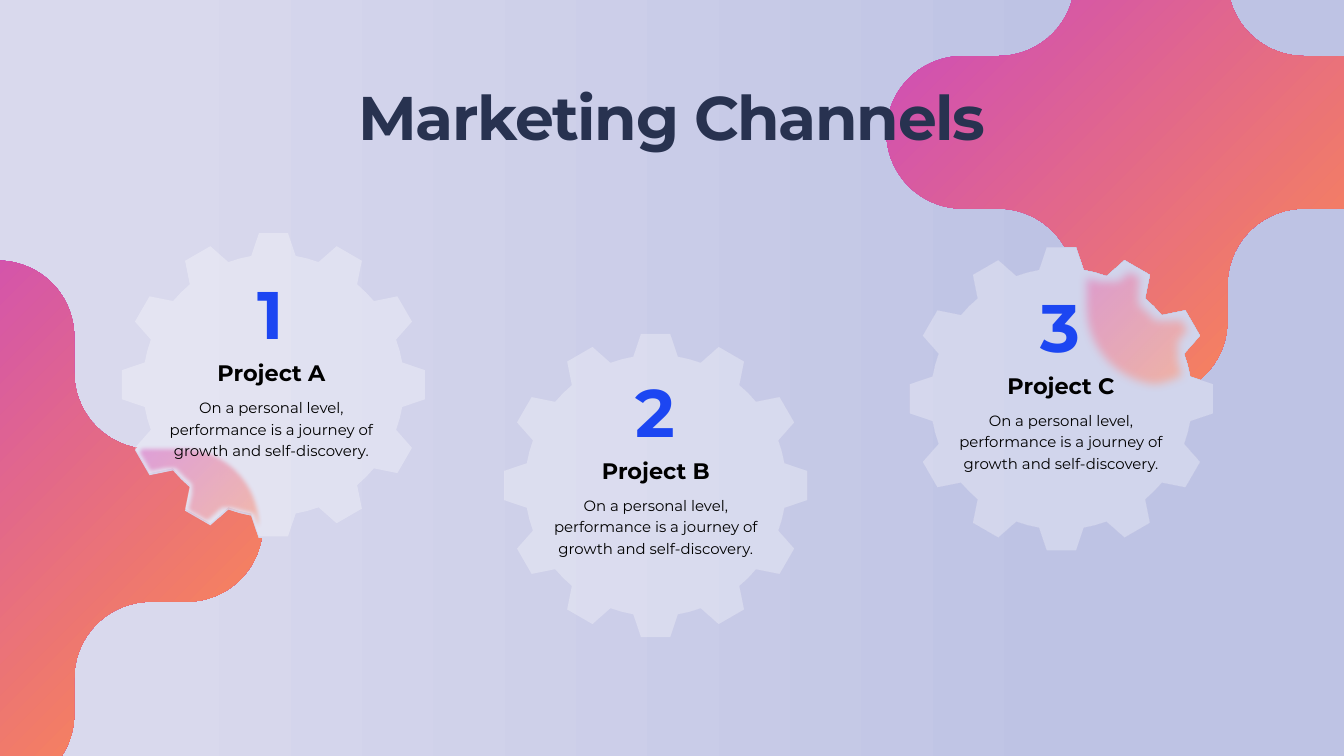
from math import cos, radians, sin

from lxml.etree import SubElement
from pptx import Presentation
from pptx.dml.color import RGBColor
from pptx.enum.text import MSO_AUTO_SIZE as AutoSize, PP_ALIGN as Align
from pptx.oxml.ns import qn
from pptx.util import Pt

FONT = "Montserrat"
NAVY = RGBColor(0x28, 0x32, 0x50)
BLACK = RGBColor(0x00, 0x00, 0x00)
WHITE = RGBColor(0xFF, 0xFF, 0xFF)
BACKDROP_STOPS = [(0.11, RGBColor(0xD9, 0xD9, 0xED)), (0.80, RGBColor(0xBE, 0xC3, 0xE4))]
SUNSET_STOPS = [(0.17, RGBColor(0xF9, 0x86, 0x57)), (1.0, RGBColor(0xC1, 0x3C, 0xD5))]
NUMBER_STOPS = [(0.11, RGBColor(0x1C, 0x46, 0xF2)), (0.80, RGBColor(0x25, 0xCE, 0x97))]

DESCRIPTION = "On a personal level, performance is a journey of growth and self-discovery."
BLOB_CENTERS = [(1233.4, 141.8), (-2.2, 563)]

# Glow outlines relative to the gear center: two numbers are a corner, six a curve.
LOWER_LEFT_GLOW = [
    (-143.3, 60.8), (-140.4, 61.6), (-137.5, 62.3, -134.6, 62.3, -131.8, 62.3),
    (-92.9, 62.3), (-48.2, 62.3, -11.5, 98.3, -11.5, 143.6),
    (-11.5, 149.4, -12.2, 155.2, -13, 160.2), (-14.4, 164.5), (-18, 164.5),
    (-25.9, 140), (-50.4, 133.6), (-69.8, 150.8), (-97.2, 135), (-91.4, 109.1),
    (-100.8, 100.4), (-109.4, 91.8), (-134.6, 96.8), (-150.5, 69.5),
]
UPPER_RIGHT_GLOW = [
    (7.6, -166.7), (19.1, -166.7), (27, -142.2), (51.5, -135.7), (70.9, -153),
    (98.3, -137.2), (92.5, -111.2), (101.9, -103.3), (110.5, -94), (135.7, -99),
    (151.6, -71.6), (134.3, -52.2), (140.8, -27.7), (150.8, -24.8), (145.1, -20.5),
    (132.1, -11.2, 116.3, -6.1, 99, -6.1), (54.4, -6.1, 17.6, -42.8, 17.6, -88.2),
    (17.6, -127.1), (17.6, -140.8, 14, -154.4, 7.6, -166),
]

# Number, heading, gear center, text corner, lift of the glass, glow (outline, opacity, blur)
PROJECTS = [
    ("1", "Project A", (293, 414.4), (170.6, 288.7), 2.2, (LOWER_LEFT_GLOW, 70, 5)),
    ("2", "Project B", (702.4, 520.2), (582.5, 393.1), 0, None),
    ("3", "Project C", (1137.2, 427.3), (1016.6, 302.4), 0, (UPPER_RIGHT_GLOW, 75, 10)),
]


def polar(radius, degrees, center=(0, 0)):
    angle = radians(degrees)
    return center[0] + radius * cos(angle), center[1] + radius * sin(angle)


def rotate(point, degrees):
    x, y = point
    c, s = cos(radians(degrees)), sin(radians(degrees))
    return x * c - y * s, x * s + y * c


def blob_outline():
    """Rounded cross: four arms with round caps, joined by hollow corners."""
    radius, reach = 81.75, 202
    arm = [polar(radius, a, (0, -reach)) for a in range(180, 361, 5)]
    arm += [polar(radius, a, (2 * radius, -2 * radius)) for a in range(180, 89, -5)]
    return [rotate(point, turn) for turn in range(0, 360, 90) for point in arm]


def gear_outline():
    tooth = [(140, -9.8), (163.1, -5.5), (163.1, 5.5), (140, 9.8), (140, 15)]
    return [polar(radius, turn + angle) for turn in range(0, 360, 30) for radius, angle in tooth]


def flatten(outline, steps=16):
    """Replace each Bézier curve of an outline by short lines."""
    points = []
    for part in outline:
        if len(part) == 2:
            points.append(part)
            continue
        controls = [points[-1], part[:2], part[2:4], part[4:]]
        for step in range(1, steps + 1):
            t = step / steps
            weights = [(1 - t) ** 3, 3 * t * (1 - t) ** 2, 3 * t * t * (1 - t), t ** 3]
            points.append(tuple(sum(w * p[axis] for w, p in zip(weights, controls))
                                for axis in (0, 1)))
    return points


def add_outline(slide, outline, center, rotation=0):
    """Draw an outline about center, held in a frame turned by rotation."""
    points = [rotate((center[0] + x, center[1] + y), -rotation) for x, y in outline]
    points = [(Pt(x), Pt(y)) for x, y in points]
    builder = slide.shapes.build_freeform(*points[0], scale=1.0)
    builder.add_line_segments(points[1:], close=True)
    shape = builder.convert_to_shape()
    x, y = rotate((shape.left + shape.width / 2, shape.top + shape.height / 2), rotation)
    shape.left, shape.top = int(x - shape.width / 2), int(y - shape.height / 2)
    shape.rotation = rotation
    shape.element.remove(shape.element.find(qn("p:style")))
    shape.line.fill.background()
    return shape


def set_opacity(parent, percent):
    for color in parent.iter(qn("a:srgbClr")):
        SubElement(color, qn("a:alpha")).set("val", str(percent * 1000))


def paint_gradient(fill, stops, angle=0):
    fill.gradient()
    fill.gradient_angle = angle
    for stop, (position, color) in zip(fill.gradient_stops, stops):
        stop.position = position
        stop.color.rgb = color


def paint_sunset(shape, opacity=100):
    """Radial gradient that spreads from the lower right corner."""
    paint_gradient(shape.fill, SUNSET_STOPS)
    gradient = shape.element.spPr.find(qn("a:gradFill"))
    gradient.remove(gradient.find(qn("a:lin")))
    radial = SubElement(gradient, qn("a:path"), path="circle")
    SubElement(radial, qn("a:fillToRect"), l="100000", t="100000")
    SubElement(gradient, qn("a:tileRect"), r="-100000", b="-100000")
    if opacity < 100:
        set_opacity(gradient, opacity)


def add_text(slide, text, box, size, color=BLACK, bold=False, line_spacing=None,
             tracking=None, stops=None):
    text_box = slide.shapes.add_textbox(*(Pt(length) for length in box))
    frame = text_box.text_frame
    frame.word_wrap = True
    frame.auto_size = AutoSize.SHAPE_TO_FIT_TEXT
    paragraph = frame.paragraphs[0]
    paragraph.alignment = Align.CENTER
    if line_spacing:
        paragraph.line_spacing = line_spacing
    run = paragraph.add_run()
    run.text = text
    run.font.name, run.font.size, run.font.bold = FONT, Pt(size), bold
    if stops:
        paint_gradient(run.font.fill, stops, angle=135)
    else:
        run.font.color.rgb = color
    if tracking:
        run.font._element.set("spc", str(int(tracking * 100)))


def add_gear(slide, center, lift, glow):
    """Gear of frosted glass: backdrop, blurred glow, translucent white."""
    backdrop = add_outline(slide, gear_outline(), center)
    backdrop.element.set("useBgFill", "1")
    if glow:
        outline, opacity, blur = glow
        patch = add_outline(slide, flatten(outline), center, rotation=45)
        paint_sunset(patch, opacity)
        effects = SubElement(patch.element.spPr, qn("a:effectLst"))
        SubElement(effects, qn("a:softEdge"), rad=str(Pt(blur)))
    glass = add_outline(slide, gear_outline(), (center[0], center[1] - lift))
    glass.fill.solid()
    glass.fill.fore_color.rgb = WHITE
    set_opacity(glass.element.spPr, 30)


def add_project_text(slide, left, top, number, heading):
    add_text(slide, heading, (left + 15.8, top + 92.9, 208.8, 36), 24, bold=True)
    add_text(slide, DESCRIPTION, (left, top + 131.2, 240.5, 77), 16, line_spacing=1.2)
    add_text(slide, number, (left + 70.6, top, 98.6, 94.3), 72, bold=True, stops=NUMBER_STOPS)


def build_channels_slide(presentation):
    slide = presentation.slides.add_slide(presentation.slide_layouts[6])
    paint_gradient(slide.background.fill, BACKDROP_STOPS)
    for center in BLOB_CENTERS:
        paint_sunset(add_outline(slide, blob_outline(), center, rotation=45))
    add_text(slide, "Marketing Channels", (182.9, 80.6, 1074.2, 87.1), 66,
             color=NAVY, bold=True, tracking=-1.5)
    for _, _, center, _, lift, glow in PROJECTS:
        add_gear(slide, center, lift, glow)
    for number, heading, _, (left, top), _, _ in PROJECTS:
        add_project_text(slide, left, top, number, heading)


def main():
    presentation = Presentation()
    presentation.slide_width, presentation.slide_height = Pt(1440), Pt(810)
    build_channels_slide(presentation)
    presentation.save("out.pptx")


if __name__ == "__main__":
    main()
